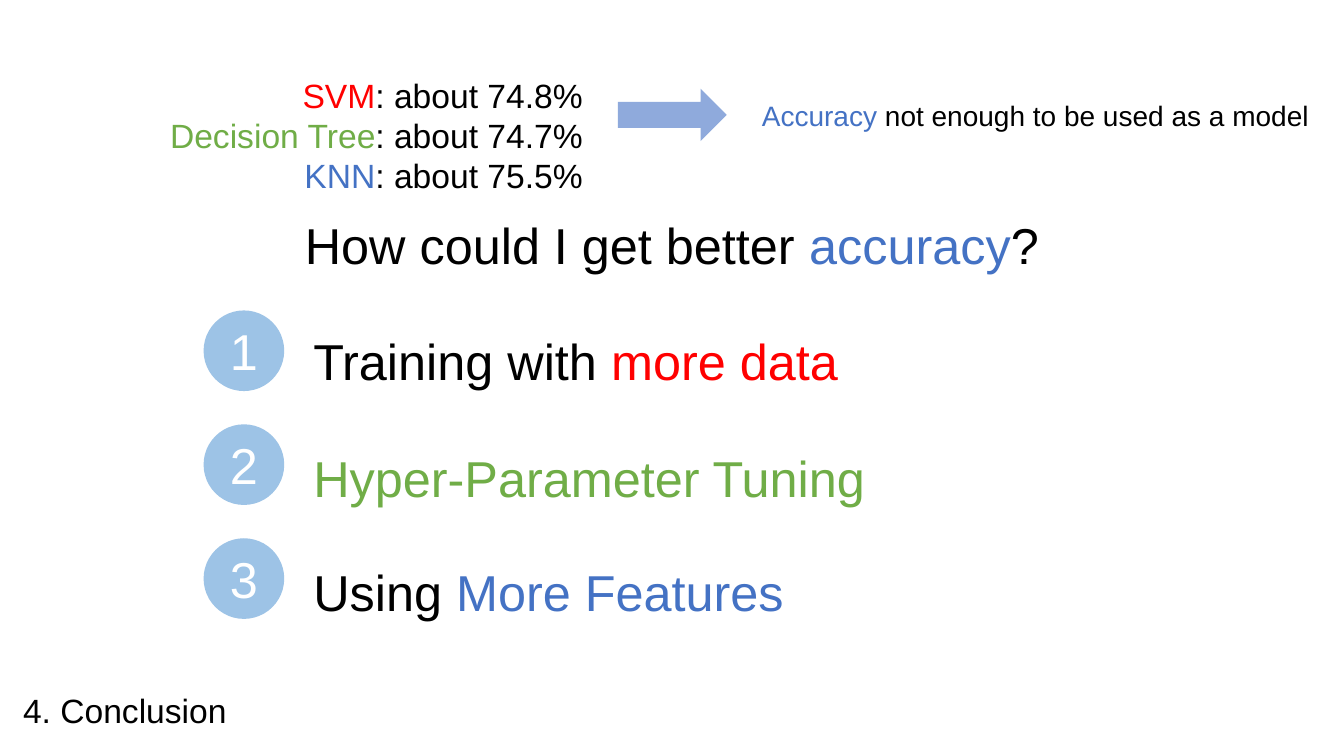
from pptx import Presentation
from pptx.dml.color import RGBColor
from pptx.enum.shapes import MSO_SHAPE as SHAPE
from pptx.enum.text import MSO_ANCHOR as ANCHOR, MSO_AUTO_SIZE as AUTO, PP_ALIGN as ALIGN
from pptx.util import Pt

COLORS = {
    "black": "000000",
    "white": "FFFFFF",
    "red": "FF0000",
    "green": "70AD47",
    "blue": "4472C4",
    "arrow": "8FAADC",
    "badge": "9DC3E6",
}
FONT = "Arial"


def rgb(name):
    return RGBColor.from_string(COLORS[name])


def format_run(r, size, color):
    r.font.name = FONT
    r.font.size = Pt(size)
    r.font.color.rgb = rgb(color)


def add_text(s, box, size, lines, align=ALIGN.LEFT):
    tf = s.shapes.add_textbox(*map(Pt, box)).text_frame
    tf.word_wrap = False
    tf.auto_size = AUTO.SHAPE_TO_FIT_TEXT
    for i, runs in enumerate(lines):
        p = tf.add_paragraph() if i else tf.paragraphs[0]
        p.alignment = align
        for text, color in runs:
            r = p.add_run()
            r.text = text
            format_run(r, size, color)


def add_filled(s, kind, box, color):
    sp = s.shapes.add_shape(kind, *map(Pt, box))
    sp.shadow.inherit = False
    sp.fill.solid()
    sp.fill.fore_color.rgb = rgb(color)
    sp.line.fill.background()
    return sp


def add_badge(s, number, top):
    sp = add_filled(s, SHAPE.OVAL, (145.44, top, 57.6, 57.6), "badge")
    tf = sp.text_frame
    tf.text = str(number)
    tf.vertical_anchor = ANCHOR.MIDDLE
    p = tf.paragraphs[0]
    p.alignment = ALIGN.CENTER
    format_run(p.runs[0], 36, "white")


def main():
    prs = Presentation()
    prs.slide_width, prs.slide_height = Pt(960), Pt(540)
    s = prs.slides.add_slide(prs.slide_layouts[6])

    add_text(s, (9.36, 489.6, 159.84, 36), 24, [[("4. Conclusion", "black")]])

    scores = [
        ("SVM", "74.8%", "red"),
        ("Decision Tree", "74.7%", "green"),
        ("KNN", "75.5%", "blue"),
    ]
    score_lines = [
        [(model, color), (f": about {score}", "black")]
        for model, score, color in scores
    ]
    add_text(s, (110.88, 49.68, 312.48, 94.32), 24, score_lines, ALIGN.RIGHT)

    add_filled(s, SHAPE.RIGHT_ARROW, (441.36, 63.36, 77.76, 37.44), "arrow")
    verdict = [("Accuracy", "blue"), (" not enough to be used as a model", "black")]
    add_text(s, (537.12, 66.96, 412.56, 31.68), 20, [verdict])

    question = [
        ("How could I get better ", "black"),
        ("accuracy", "blue"),
        ("?", "black"),
    ]
    add_text(s, (201.6, 149.04, 556.56, 51.12), 36, [question], ALIGN.CENTER)

    ideas = [
        (232.56, 404.64, [("Training with ", "black"), ("more data", "red")]),
        (316.08, 422.64, [("Hyper-Parameter Tuning", "green")]),
        (397.44, 352.08, [("Using ", "black"), ("More Features", "blue")]),
    ]
    for i, (top, width, runs) in enumerate(ideas):
        add_badge(s, i + 1, 221.76 + i * 81.36)
        add_text(s, (216.72, top, width, 51.12), 36, [runs])

    prs.save("out.pptx")


if __name__ == "__main__":
    main()
